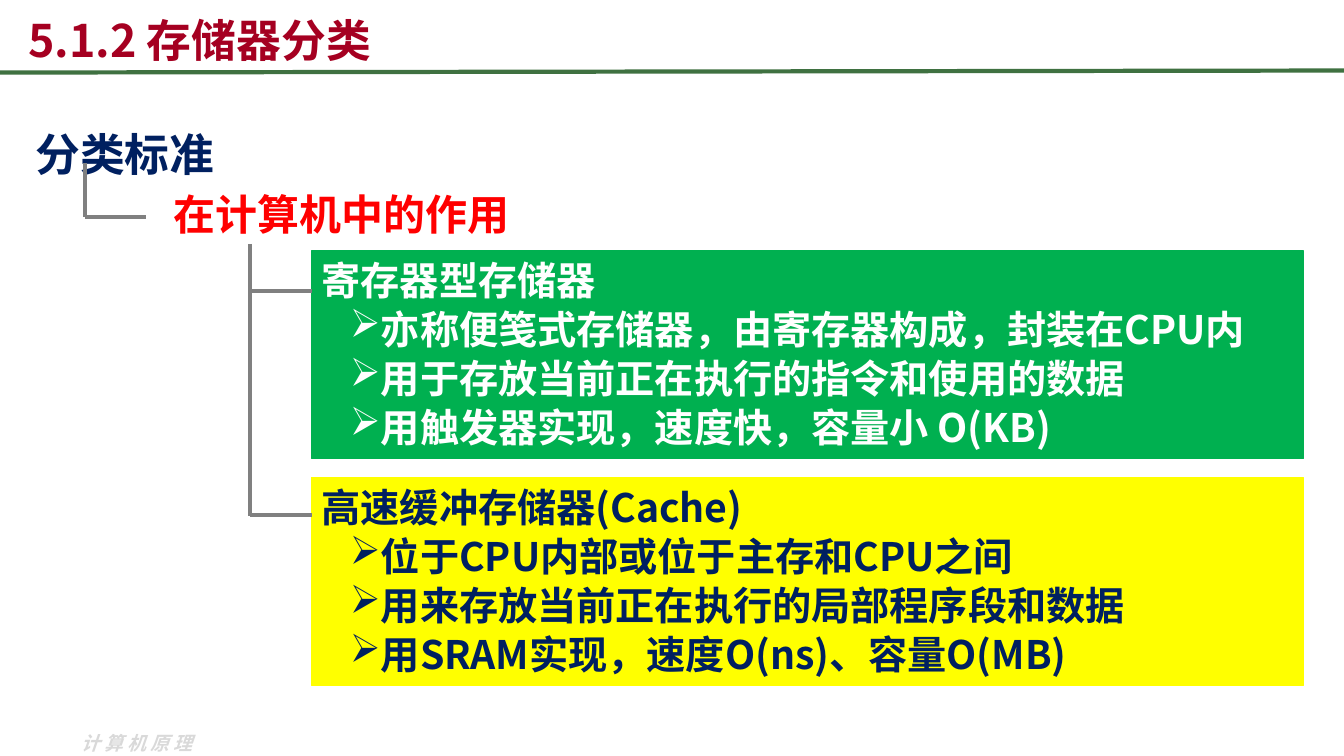
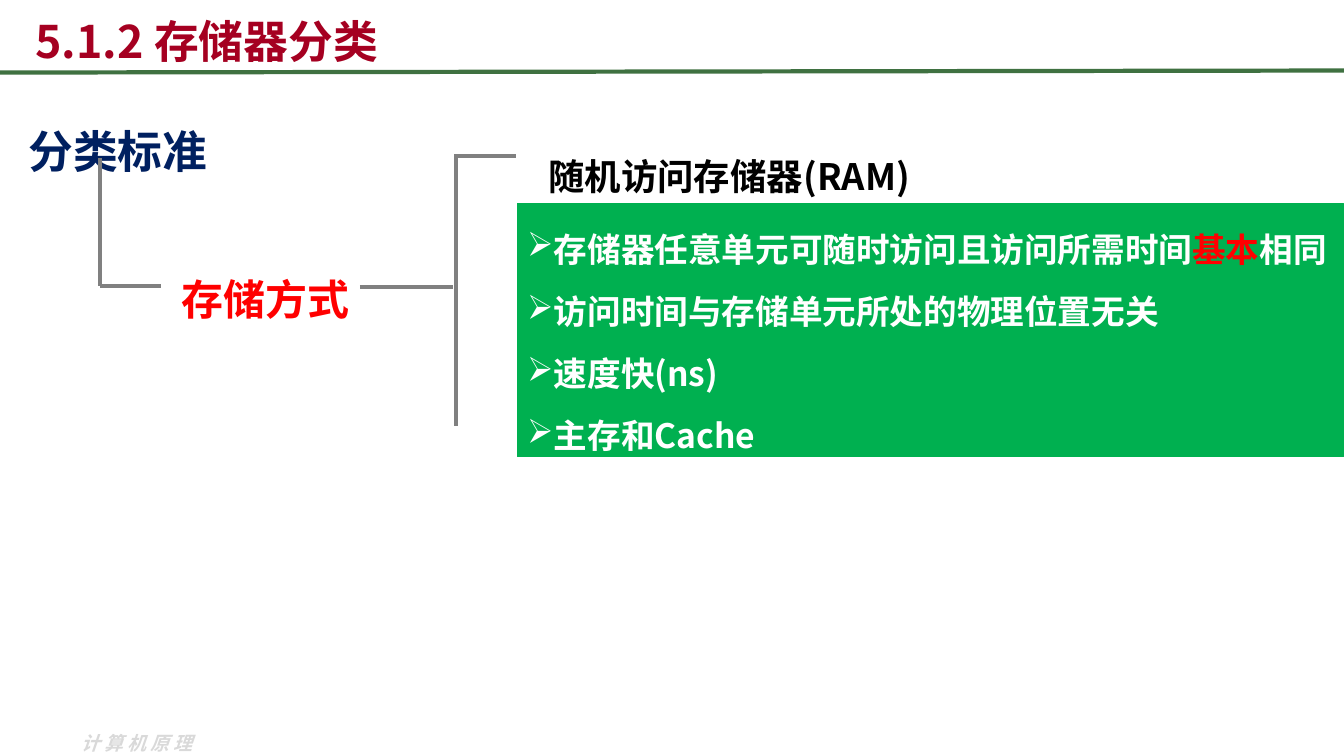
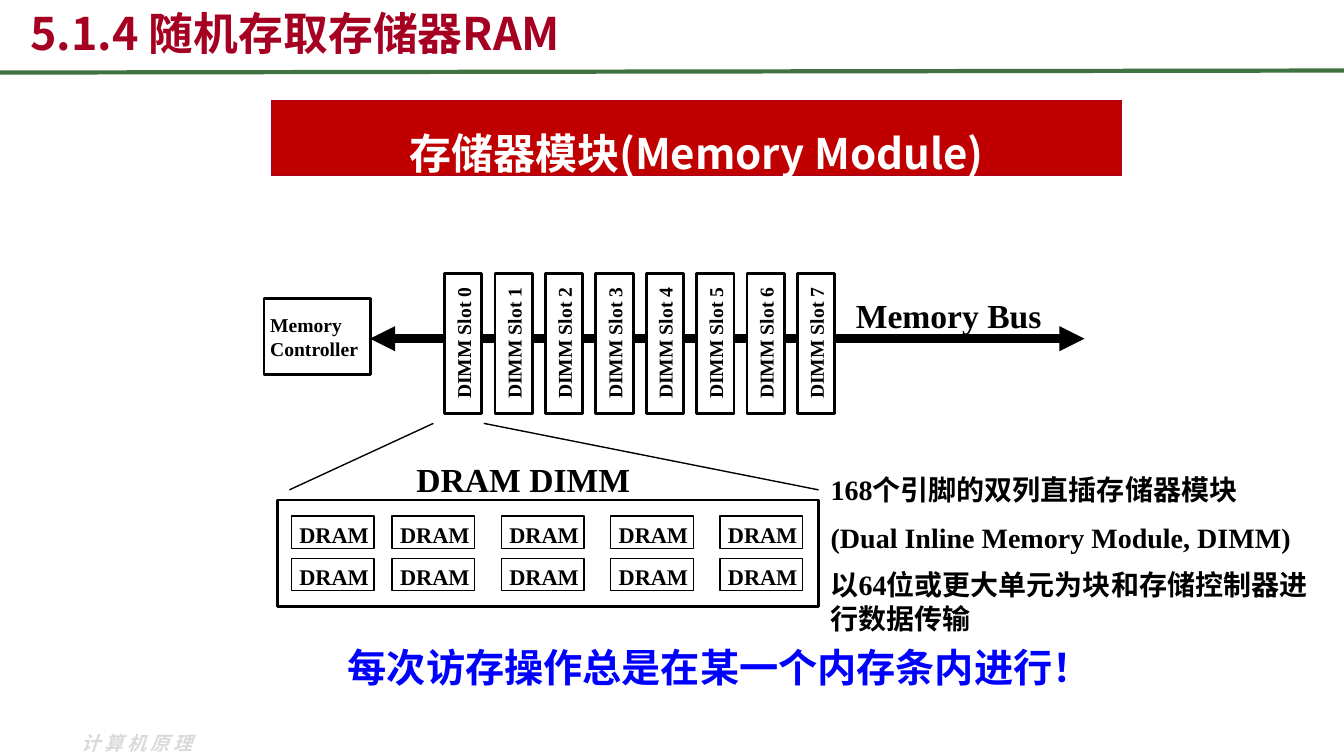
import dataclasses
import itertools

import lxml.etree
import pptx
import pptx.dml.color
import pptx.enum.shapes
import pptx.enum.text
import pptx.oxml.ns
import pptx.util

COLORS = {
    "white": "FFFFFF", "black": "000000", "rule": "3F7141", "title": "A50021",
    "footer": "D9D9D9", "navy": "002060", "red": "FF0000", "branch": "808080",
    "green": "00B050", "yellow": "FFFF00", "banner": "C00000", "blue": "0000FF",
}
SANS = "Noto Sans CJK SC"
SERIF = "Times New Roman"
WIDTH = pptx.util.Inches(13.333)
HEIGHT = pptx.util.Inches(7.5)
COLUMN = WIDTH / 100
ROW = HEIGHT / 100
INSETS = (0.75, 0.67, 0.75, 0.67)
NO_INSETS = (0, 0, 0, 0)
LEFT = pptx.enum.text.PP_ALIGN.LEFT
CENTER = pptx.enum.text.PP_ALIGN.CENTER
TOP = pptx.enum.text.MSO_ANCHOR.TOP
MIDDLE = pptx.enum.text.MSO_ANCHOR.MIDDLE
BOTTOM = pptx.enum.text.MSO_ANCHOR.BOTTOM


@dataclasses.dataclass
class Box:
    left: float
    top: float
    width: float
    height: float

    def area(self, column, row, width, height):
        return Box(self.left + column, self.top + row, width, height)

    def emu(self):
        return (round(self.left * COLUMN), round(self.top * ROW),
                round(self.width * COLUMN), round(self.height * ROW))


PAGE = Box(0, 0, 100, 100)


def rgb(name):
    return pptx.dml.color.RGBColor.from_string(COLORS[name])


def add_element(parent, tag, **attributes):
    return lxml.etree.SubElement(parent, pptx.oxml.ns.qn(tag), **attributes)


def write(shape, paragraphs, size, color, font=SANS, align=LEFT, anchor=TOP,
          insets=INSETS, wrap=True, leading=None, before=0.05,
          bullets_from=None, indent=0, italic=False, tracking=None):
    frame = shape.text_frame
    frame.word_wrap = wrap
    frame.vertical_anchor = anchor
    frame.margin_left, frame.margin_right = (round(n * COLUMN) for n in insets[::2])
    frame.margin_top, frame.margin_bottom = (round(n * ROW) for n in insets[1::2])
    for index, runs in enumerate(paragraphs):
        paragraph = frame.add_paragraph() if index else frame.paragraphs[0]
        paragraph.alignment = align
        if leading:
            paragraph.line_spacing = leading
        if index:
            paragraph.space_before = pptx.util.Pt(size * before)
        if bullets_from is not None and index >= bullets_from:
            properties = paragraph._p.get_or_add_pPr()
            properties.set("marL", str(round(indent * COLUMN)))
            properties.set("indent", "0")
            add_element(properties, "a:buChar", char="➢")
        for words in [runs] if isinstance(runs, str) else runs:
            words, run_color = (words, color) if isinstance(words, str) else words
            run = paragraph.add_run()
            run.text = words
            run.font.size = pptx.util.Pt(size)
            run.font.bold = True
            run.font.italic = italic or None
            run.font.name = font
            run.font.color.rgb = rgb(run_color)
            letters = run.font._element
            add_element(letters, "a:ea", typeface=SANS)
            if tracking:
                letters.set("spc", str(tracking * 100))


def label(slide, box, paragraphs, size, color, **style):
    write(slide.shapes.add_textbox(*box.emu()), paragraphs, size, color, **style)


def block(slide, box, fill=None, outline=None, weight=0.75):
    shape = slide.shapes.add_shape(pptx.enum.shapes.MSO_SHAPE.RECTANGLE, *box.emu())
    shape.shadow.inherit = False
    if fill:
        shape.fill.solid()
        shape.fill.fore_color.rgb = rgb(fill)
    else:
        shape.fill.background()
    if outline:
        shape.line.color.rgb = rgb(outline)
        shape.line.width = pptx.util.Pt(weight)
    else:
        shape.line.fill.background()
    return shape


def line(slide, start, end, color="branch", weight=3, arrows=False):
    ends = [round(n * unit) for n, unit in zip(start + end, (COLUMN, ROW) * 2)]
    connector = slide.shapes.add_connector(
        pptx.enum.shapes.MSO_CONNECTOR.STRAIGHT, *ends)
    connector.line.color.rgb = rgb(color)
    connector.line.width = pptx.util.Pt(weight)
    if arrows:
        for tag in ("a:headEnd", "a:tailEnd"):
            add_element(connector.line._get_or_add_ln(), tag, type="triangle")
    add_element(connector._element.spPr, "a:effectLst")


def add_page(deck, title, box):
    slide = deck.slides.add_slide(deck.slide_layouts[6])
    label(slide, PAGE.area(5.33, 96.13, 10.95, 4.53), ["计算机原理"], 13.5, "footer",
          italic=True, tracking=3, wrap=False)
    line(slide, (0, 9.6), (100, 9.33), "rule")
    label(slide, box, [title], 32, "title", anchor=BOTTOM)
    return slide


def criterion(slide, box, **style):
    write(block(slide, box, "white"), ["分类标准"], 32, "navy", anchor=MIDDLE, **style)


def elbow(slide, box):
    bottom = box.top + box.height
    line(slide, (box.left, box.top), (box.left, bottom))
    line(slide, (box.left, bottom), (box.left + box.width, bottom))


def bracket(slide, box, branch_rows):
    line(slide, (box.left, box.top), (box.left, box.top + box.height))
    for row in branch_rows:
        line(slide, (box.left, box.top + row), (box.left + box.width, box.top + row))


def panel(slide, box, fill, paragraphs, size, color, **style):
    write(block(slide, box, fill, fill), paragraphs, size, color, **style)


def memory_bus(slide, box):
    controller = block(slide, box.area(0, 3.34, 7.95, 10.13), None, "black", 2)
    write(controller, ["Memory", "Controller"], 14, "black", SERIF, anchor=MIDDLE,
          insets=(0.45, 0, 0, 0), wrap=False)
    axis = box.top + 8.67
    line(slide, (box.left + 7.88, axis), (box.left + box.width, axis), "black", 6, True)
    label(slide, box.area(43.28, 2.27, 15.45, 6.67), ["Memory Bus"], 24, "black",
          font=SERIF, wrap=False)
    for number in range(8):
        slot = block(slide, box.area(13.43 + 3.75 * number, 0, 2.78, box.height),
                     "white", "black", 2)
        write(slot, [f"DIMM Slot {number}"], 14, "black", SERIF, CENTER, MIDDLE,
              NO_INSETS, False)
        slot.text_frame._txBody.bodyPr.set("vert", "vert270")


def dimm_detail(slide, box):
    for slot_edge, module_edge in ((11.62, 0.9), (15.37, box.width)):
        line(slide, (box.left + slot_edge, box.top - 10.13),
             (box.left + module_edge, box.top - 1.33), "black", 1)
    label(slide, box.area(9.6, -6.13, 17.55, 6.67), ["DRAM DIMM"], 24, "black",
          font=SERIF, wrap=False)
    block(slide, box, None, "black", 2)
    chip_columns = [1.05] + [8.55 + 8.13 * step for step in range(4)]
    chip_rows = (2.13, 7.73)
    for column, row in itertools.product(chip_columns, chip_rows):
        chip = block(slide, box.area(column, row, 6.15, 4.27), None, "black", 1)
        write(chip, ["DRAM"], 16, "black", SERIF, CENTER, MIDDLE,
              (0.2, 0.5, 0, 0), False)


def role_slide(deck):
    slide = add_page(deck, "5.1.2 存储器分类", PAGE.area(1.35, 0.27, 90, 9.2))
    criterion(slide, PAGE.area(1.35, 13.87, 15.9, 8.53), align=CENTER, leading=1.6)
    label(slide, PAGE.area(12.15, 24.27, 59.93, 8.13), ["在计算机中的作用"], 30, "red")
    elbow(slide, PAGE.area(6.3, 21.6, 4.58, 7.07))
    memories = (
        ("green", "white", [
            "寄存器型存储器",
            "亦称便笺式存储器，由寄存器构成，封装在CPU内",
            "用于存放当前正在执行的指令和使用的数据",
            "用触发器实现，速度快，容量小 O(KB)"]),
        ("yellow", "navy", [
            "高速缓冲存储器(Cache)",
            "位于CPU内部或位于主存和CPU之间",
            "用来存放当前正在执行的局部程序段和数据",
            "用SRAM实现，速度O(ns)、容量O(MB)"]),
    )
    for index, (fill, color, paragraphs) in enumerate(memories):
        panel(slide, PAGE.area(23.18, 33.2 + 30 * index, 73.8, 27.47), fill,
              paragraphs, 28, color, bullets_from=1, indent=2.1)
    bracket(slide, PAGE.area(18.6, 32.27, 4.58, 36), (6.26, 35.87))


def access_slide(deck):
    slide = add_page(deck, "5.1.2 存储器分类", PAGE.area(1.88, 0.4, 90, 9.2))
    criterion(slide, PAGE.area(1.35, 13.87, 15.9, 8.53), leading=1.5)
    label(slide, PAGE.area(40.05, 16.8, 59.93, 18.13), ["随机访问存储器(RAM)"], 26,
          "black", leading=1.5)
    panel(slide, PAGE.area(38.48, 26.93, 61.52, 33.47), "green", [
        ["存储器任意单元可随时访问且访问所需时间", ("基本", "red"), "相同"],
        "访问时间与存储单元所处的物理位置无关",
        "速度快(ns)",
        "主存和Cache",
    ], 24, "white", leading=1.5, bullets_from=0, insets=(0.75, 0.67, 0, 0.67))
    label(slide, PAGE.area(12.75, 32.13, 59.93, 10.27), ["存储方式"], 30, "red",
          leading=1.5)
    elbow(slide, PAGE.area(7.45, 20.93, 4.55, 16.94))
    bracket(slide, PAGE.area(33.95, 20.4, 4.45, 36), (0.27,))
    line(slide, (26.78, 38), (33.68, 38))


def module_slide(deck):
    slide = add_page(deck, "5.1.4 随机存取存储器RAM", PAGE.area(1.5, 0.27, 90, 8.27))
    banner = block(slide, PAGE.area(20.18, 13.33, 63.3, 9.87), "banner", "title")
    write(banner, ["存储器模块(Memory Module)"], 30, "white", align=CENTER,
          anchor=MIDDLE, leading=1.6)
    memory_bus(slide, PAGE.area(19.65, 36.13, 61.05, 18.53))
    dimm_detail(slide, PAGE.area(20.63, 66.13, 40.28, 14.13))
    label(slide, PAGE.area(61.8, 62.53, 35.78, 22.4), [
        "168个引脚的双列直插存储器模块",
        "(Dual Inline Memory Module, DIMM)",
        "以64位或更大单元为块和存储控制器进行数据传输",
    ], 20, "black", font=SERIF, insets=NO_INSETS, before=0.5)
    label(slide, PAGE.area(25.88, 85.07, 56.1, 6.27),
          ["每次访存操作总是在某一个内存条内进行！"], 28, "blue", insets=NO_INSETS)


def main():
    deck = pptx.Presentation()
    deck.slide_width = WIDTH
    deck.slide_height = HEIGHT
    for build in (role_slide, access_slide, module_slide):
        build(deck)
    deck.save("out.pptx")


if __name__ == "__main__":
    main()
